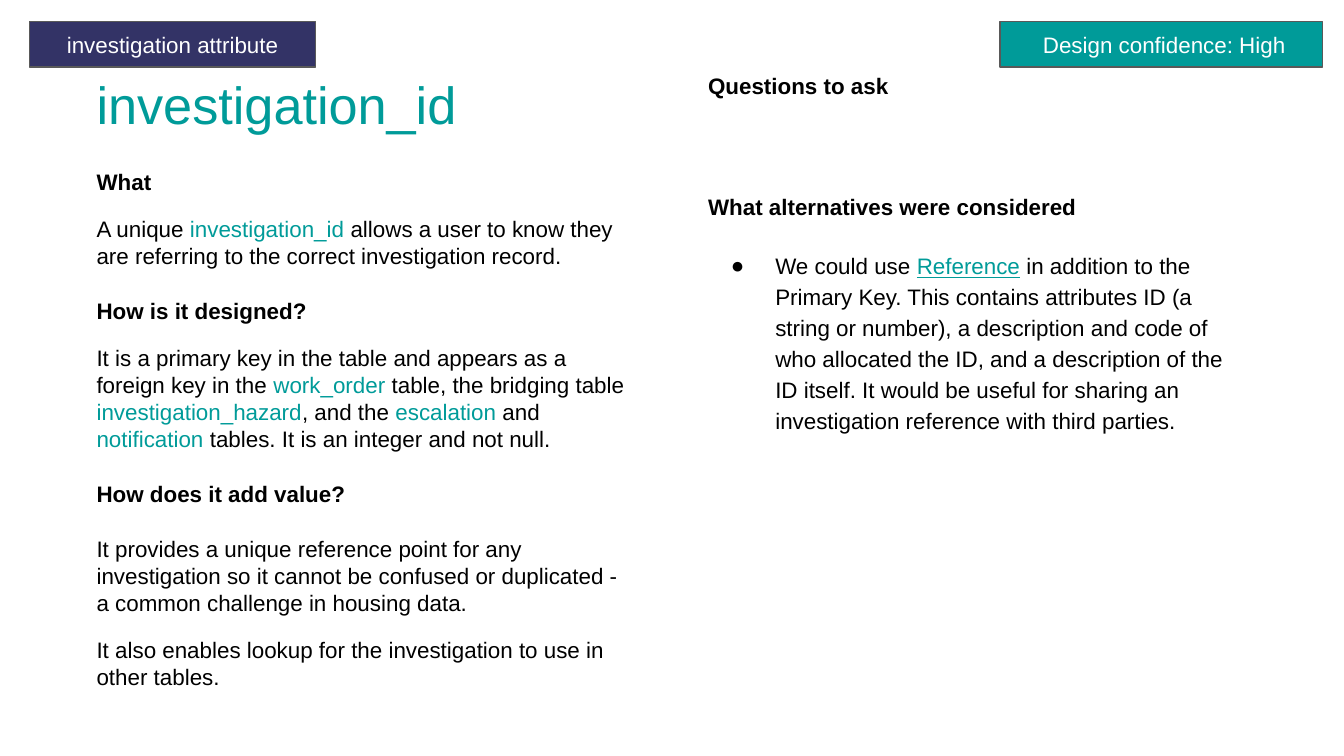
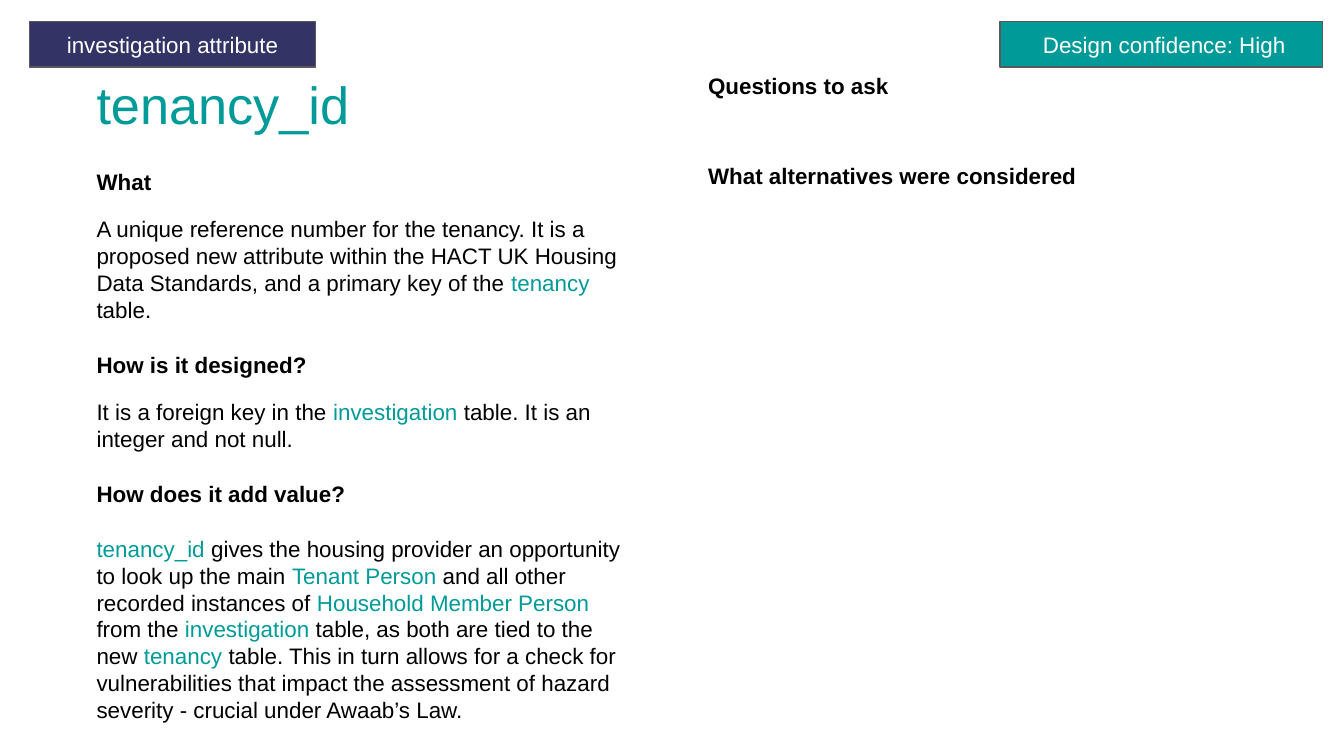
from lxml.etree import SubElement
from pptx import Presentation
from pptx.dml.color import RGBColor
from pptx.enum.shapes import MSO_SHAPE as Shape
from pptx.enum.text import MSO_ANCHOR as Anchor, PP_ALIGN as Align
from pptx.oxml.ns import qn
from pptx.util import Inches, Pt

TEAL = RGBColor(0x00, 0x9B, 0x99)
NAVY = RGBColor(0x33, 0x33, 0x66)
GREY = RGBColor(0x59, 0x59, 0x59)
BLACK = RGBColor(0x00, 0x00, 0x00)
WHITE = RGBColor(0xFF, 0xFF, 0xFF)

PAGE_WIDTH = Inches(10)
PAGE_HEIGHT = PAGE_WIDTH * 9 // 16

TITLE_BOX = (0.62, 0.44, 4.43, 0.63)
DESIGN_BOX = (0.62, 1.15, 4.19, 3.44)
REVIEW_BOX = (5.17, 0.44, 4.19, 3.33)
KIND_BOX = (0.22, 0.16, 2.13, 0.34)
CONFIDENCE_BOX = (7.44, 0.16, 2.4, 0.34)

FONT = "Arial"
BODY = {"name": FONT, "size": Pt(12), "bold": False}
HEADING = {**BODY, "bold": True}
TITLE = {**BODY, "size": Pt(28)}
SMALL_GAP, LARGE_GAP = 11, 15
LOOSE = 1.15
LOOSE_LINE = 16.6

PAGES = [
    {
        "title": "investigation_id",
        "what": "A unique |investigation_id| allows a user to know they are referring "
                "to the correct investigation record.",
        "design": "It is a primary key in the table and appears as a foreign key in the "
                  "|work_order |table, the bridging table |investigation_hazard|, and the "
                  "|escalation| and |notification |tables. It is an integer and not null.",
        "value": [
            "It provides a unique reference point for any investigation so it cannot be "
            "confused or duplicated - a common challenge in housing data.",
            "It also enables lookup for the investigation to use in other tables.",
        ],
        "question_lines": 2,
        "alternatives": [
            "We could use |Reference| in addition to the Primary Key. This contains "
            "attributes ID (a string or number), a description and code of who allocated "
            "the ID, and a description of the ID itself. It would be useful for sharing "
            "an investigation reference with third parties.",
        ],
    },
    {
        "title": "tenancy_id",
        "what": "A unique reference number for the tenancy. It is a proposed new attribute "
                "within the HACT UK Housing Data Standards, and a primary key of the "
                "|tenancy| table.",
        "design": "It is a foreign key in the |investigation| table. It is an integer and "
                  "not null.",
        "value": [
            "|tenancy_id| gives the housing provider an opportunity to look up the main "
            "|Tenant Person| and all other recorded instances of |Household Member Person| "
            "from the |investigation| table, as both are tied to the new |tenancy| table. "
            "This in turn allows for a check for vulnerabilities that impact the "
            "assessment of hazard severity - crucial under Awaab’s Law.",
        ],
        "question_lines": 1,
        "alternatives": [],
    },
]


def apply(target, values):
    for name, value in values.items():
        setattr(target, name, value)


def set_margins(frame):
    sides = ("margin_left", "margin_top", "margin_right", "margin_bottom")
    apply(frame, {"word_wrap": True, **dict.fromkeys(sides, Inches(0.1))})


def add_frame(page, box):
    frame = page.shapes.add_textbox(*map(Inches, box)).text_frame
    set_margins(frame)
    return frame


def add_bullet(para):
    props = para._p.get_or_add_pPr()
    props.set("marL", str(Inches(0.5)))
    props.set("indent", str(Inches(-0.33)))
    color = SubElement(props, qn("a:buClr"))
    SubElement(color, qn("a:srgbClr"), val=str(BLACK))
    SubElement(props, qn("a:buFont"), typeface=FONT)
    SubElement(props, qn("a:buChar"), char="●")


def write(para, text, style, color=BLACK, underline_terms=False):
    apply(para.font, style)
    for index, piece in enumerate(text.split("|")):
        if piece:
            is_term = index % 2 == 1
            span = para.add_run()
            span.text = piece
            apply(span.font, style)
            span.font.color.rgb = TEAL if is_term else color
            if is_term and underline_terms:
                span.font.underline = True


def add_tag(page, box, text, fill):
    tag = page.shapes.add_shape(Shape.RECTANGLE, *map(Inches, box))
    tag.shadow.inherit = False
    tag.fill.solid()
    tag.fill.fore_color.rgb = fill
    tag.line.color.rgb = GREY
    tag.line.width = Pt(0.75)
    frame = tag.text_frame
    set_margins(frame)
    frame.vertical_anchor = Anchor.MIDDLE
    para = frame.paragraphs[0]
    para.alignment = Align.CENTER
    write(para, text, BODY, WHITE)


def add_title(page, box, text):
    write(add_frame(page, box).paragraphs[0], text, TITLE, TEAL)


def add_design(page, box, content):
    first_value, *more_values = content["value"]
    rows = [
        ("What", HEADING, 0),
        (content["what"], BODY, SMALL_GAP),
        ("How is it designed?", HEADING, LARGE_GAP),
        (content["design"], BODY, SMALL_GAP),
        ("How does it add value?", HEADING, LARGE_GAP),
        (first_value, BODY, LARGE_GAP),
        *((text, BODY, SMALL_GAP) for text in more_values),
    ]
    frame = add_frame(page, box)
    for index, (text, style, gap) in enumerate(rows):
        para = frame.add_paragraph() if index else frame.paragraphs[0]
        if gap:
            para.space_before = Pt(gap)
        write(para, text, style)


def add_review(page, box, content):
    frame = add_frame(page, box)
    write(frame.paragraphs[0], "Questions to ask", HEADING)
    para = frame.add_paragraph()
    gap = LARGE_GAP + LOOSE_LINE * content["question_lines"]
    apply(para, {"line_spacing": LOOSE, "space_before": Pt(gap)})
    write(para, "What alternatives were considered", HEADING)
    for text in content["alternatives"]:
        para = frame.add_paragraph()
        apply(para, {"line_spacing": LOOSE, "space_before": Pt(LARGE_GAP)})
        add_bullet(para)
        write(para, text, BODY, underline_terms=True)


def add_attribute_page(deck, content):
    page = deck.slides.add_slide(deck.slide_layouts[6])
    add_title(page, TITLE_BOX, content["title"])
    add_design(page, DESIGN_BOX, content)
    add_review(page, REVIEW_BOX, content)
    add_tag(page, CONFIDENCE_BOX, " Design confidence: High", TEAL)
    add_tag(page, KIND_BOX, "investigation attribute", NAVY)


def main():
    deck = Presentation()
    apply(deck, {"slide_width": PAGE_WIDTH, "slide_height": PAGE_HEIGHT})
    for content in PAGES:
        add_attribute_page(deck, content)
    deck.save("out.pptx")


if __name__ == "__main__":
    main()
